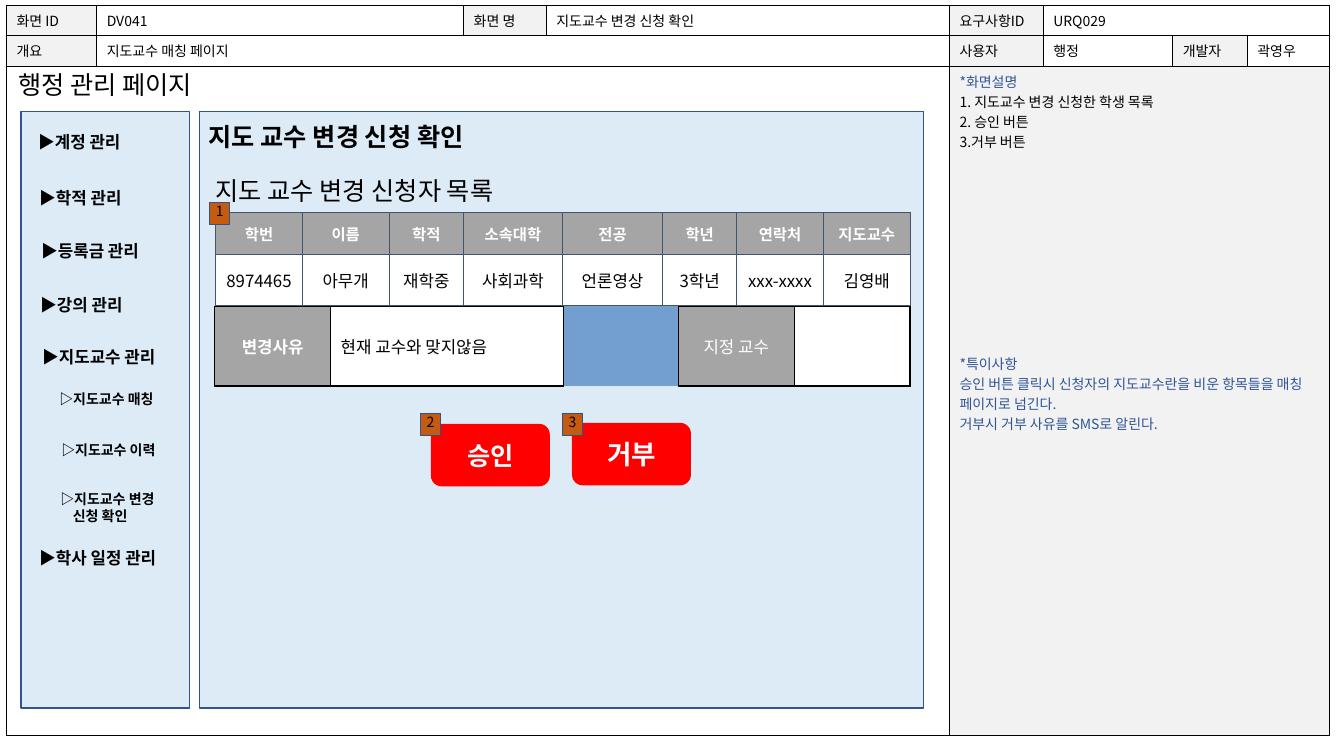
from pptx import Presentation
from pptx.dml.color import RGBColor
from pptx.enum.shapes import MSO_SHAPE
from pptx.enum.text import MSO_ANCHOR, MSO_AUTO_SIZE, PP_ALIGN
from pptx.oxml.ns import qn
from pptx.util import Inches, Pt
from lxml import etree

RECT, ROUNDED = MSO_SHAPE.RECTANGLE, MSO_SHAPE.ROUNDED_RECTANGLE
LEFT, CENTER = PP_ALIGN.LEFT, PP_ALIGN.CENTER
TOP, MIDDLE = MSO_ANCHOR.TOP, MSO_ANCHOR.MIDDLE
FIT = MSO_AUTO_SIZE.SHAPE_TO_FIT_TEXT

FONT = "Noto Sans CJK KR"
PLAIN_TABLE = "{2D5ABB26-0587-4C30-8999-92F81FD0307C}"
C = {
    "black": "000000", "white": "FFFFFF", "label": "F2F2F2", "header": "A5A5A5",
    "panel": "DDEBF7", "panel_line": "31538F", "note": "2F5597", "grid": "44546A",
    "badge": "C55A11", "badge_line": "2F528F", "button": "FF0000",
}
COLUMNS, ROWS = 133.33, 75
CELL = Inches(0.1)
PAD, SLIM = (1, 0.5, 1, 0.5), (0, 0, 0, 0)
WIDE = (1, 1, 1, 1)


def grid(n):
    return int(n * CELL)


def rgb(name):
    return RGBColor.from_string(C[name])


def write(tf, text, size, color="black", bold=False, align=LEFT):
    tf.text = text
    for p in tf.paragraphs:
        p.alignment = align
        for r in p.runs:
            r.font.size = Pt(size)
            r.font.bold = bold
            r.font.name = FONT
            r.font.color.rgb = rgb(color)
            etree.SubElement(r.font._element, qn("a:ea")).set("typeface", FONT)


def frame(tf, pad, anchor):
    tf.word_wrap = True
    tf.margin_left, tf.margin_top, tf.margin_right, tf.margin_bottom = map(grid, pad)
    tf.vertical_anchor = anchor


def indent(p, left, first=0):
    pPr = p._p.get_or_add_pPr()
    pPr.set("marL", str(grid(left)))
    pPr.set("indent", str(grid(first)))


def add_text(s, at, text, size, bold=False, pad=SLIM, anchor=MIDDLE):
    sp = s.shapes.add_textbox(*map(grid, at))
    frame(sp.text_frame, pad, anchor)
    write(sp.text_frame, text, size, bold=bold)
    return sp.text_frame


def add_title(s, at, text, size):
    sp = s.shapes.title
    sp.left, sp.top, sp.width, sp.height = map(grid, at)
    frame(sp.text_frame, SLIM, TOP)
    write(sp.text_frame, text, size)
    s.shapes._spTree.append(sp._element)


def add_box(s, kind, at, fill, line, weight):
    sp = s.shapes.add_shape(kind, *map(grid, at))
    sp.shadow.inherit = False
    sp.fill.solid()
    sp.fill.fore_color.rgb = rgb(fill)
    sp.line.color.rgb = rgb(line)
    sp.line.width = Pt(weight)
    return sp


def add_badge(s, left, top, number):
    sp = add_box(s, RECT, (left, top, 2, 2.2), "badge", "badge_line", 1)
    frame(sp.text_frame, SLIM, TOP)
    write(sp.text_frame, number, 10, align=CENTER)


def add_button(s, left, top, text, size):
    sp = add_box(s, ROUNDED, (left, top, 11.7, 6.1), "button", "button", 0.75)
    frame(sp.text_frame, WIDE, MIDDLE)
    write(sp.text_frame, text, size, "white", True, CENTER)


def border(cell, color, sides):
    tcPr = cell._tc.get_or_add_tcPr()
    for side in "LRTB":
        ln = etree.SubElement(tcPr, qn("a:ln" + side), w=str(Pt(sides[side])))
        fill = etree.SubElement(ln, qn("a:solidFill"))
        etree.SubElement(fill, qn("a:srgbClr"), val=C[color])


def add_table(s, left, top, cols, rows, texts, pad, anchor, style, line, sides):
    shape = s.shapes.add_table(len(rows), len(cols), grid(left), grid(top),
                               grid(sum(cols)), grid(sum(rows)))
    t = shape.table
    t.first_row = t.horz_banding = False
    t._tbl.tblPr[0].text = PLAIN_TABLE
    for column, width in zip(t.columns, cols):
        column.width = grid(width)
    for row, height in zip(t.rows, rows):
        row.height = grid(height)
    for i, row in enumerate(texts):
        start = 0
        for j, text in enumerate(row):
            cell = t.cell(i, j)
            border(cell, line, sides(i, j))
            start = start if text is None else j
            fill, look = style(i, start)
            cell.fill.solid()
            cell.fill.fore_color.rgb = rgb(fill)
            cell.margin_left, cell.margin_top, cell.margin_right, cell.margin_bottom = map(grid, pad)
            cell.vertical_anchor = anchor
            if text:
                write(cell.text_frame, text, **look)
            if text is None and (j + 1 == len(row) or row[j + 1] is not None):
                t.cell(i, start).merge(cell)
    return t


def add_sheet(s):
    notes = "\n".join([
        "*화면설명", "1. 지도교수 변경 신청한 학생 목록", "2. 승인 버튼", "3.거부 버튼", "*특이사항",
        "승인 버튼 클릭시 신청자의 지도교수란을 비운 항목들을 매칭 페이지로 넘긴다.",
        "거부시 거부 사유를 SMS로 알린다."])
    texts = [
        ["화면 ID", "DV041", "화면 명", "지도교수 변경 신청 확인", "요구사항ID", "URQ029", None, None],
        ["개요", "지도교수 매칭 페이지", None, None, "사용자", "행정", "개발자", "곽영우"],
        ["", None, None, None, notes, None, None, None]]
    labels = {(0, 0), (0, 2), (0, 4), (1, 0), (1, 4), (1, 6), (2, 4)}
    t = add_table(s, 0.65, 0.5, [8.95, 36.4, 8.2, 40, 9.3, 12.85, 7.4, 8.15], [2.7, 3.05, 66.4],
                  texts, PAD, TOP,
                  lambda i, j: ("label" if (i, j) in labels else "white", {"size": 10}),
                  "black", lambda i, j: dict.fromkeys("LRTB", 0.75))
    ps = t.cell(2, 4).text_frame.paragraphs
    for p in ps[1:4]:
        indent(p, 2.5, -2.5)
    for p in (ps[0], *ps[4:]):
        for r in p.runs:
            r.font.color.rgb = rgb("note")
    ps[4].space_before = Pt(144)


def add_menu(s):
    items = [(2.8, 12.6, "▶계정 관리"), (2.9, 18.1, "▶학적 관리"), (3.1, 23.4, "▶등록금 관리"),
             (3, 28.7, "▶강의 관리"), (3.2, 33.9, "▶지도교수 관리"), (2.9, 53.8, "▶학사 일정 관리")]
    subitems = [(4.9, 38.3, "▷지도교수 매칭"), (5.1, 43.3, "▷지도교수 이력"),
                (5, 48.2, "▷지도교수 변경\n신청 확인")]
    for entries, width, height, size in ((items, 21.3, 3, 12), (subitems, 16.7, 2.7, 10)):
        for left, top, text in entries:
            tf = add_text(s, (left, top, width, height), text, size, True, PAD, TOP)
            tf.auto_size = FIT
            for p in tf.paragraphs[1:]:
                indent(p, 1.25)


def add_applicants(s):
    texts = [["학번", "이름", "학적", "소속대학", "전공", "학년", "연락처", "지도교수"],
             ["8974465", "아무개", "재학중", "사회과학", "언론영상", "3학년", "xxx-xxxx", "김영배"]]
    looks = [("header", {"size": 11, "color": "white", "bold": True, "align": CENTER}),
             ("white", {"size": 12, "align": CENTER})]
    add_table(s, 21.4, 21.1, [8.6, 8.6, 7.4, 9.8, 9.95, 7.35, 8.6, 8.6], [4.15, 5.1], texts,
              WIDE, MIDDLE, lambda i, j: looks[i], "grid",
              lambda i, j: dict.fromkeys("LRTB", 0.75))


def add_reason(s):
    label = {"size": 12, "color": "white", "align": CENTER}
    looks = {0: ("header", {**label, "bold": True}), 1: ("white", {"size": 12}),
             3: ("header", label), 4: ("white", {"size": 12})}
    add_table(s, 21.3, 30.4, [11.5, 11.5, 11.6, 11.4, 11.5, 11.5], [7.9],
              [["변경사유", "현재 교수와 맞지않음", None, "지정 교수", "", None]],
              WIDE, MIDDLE, lambda i, j: looks[j], "black",
              lambda i, j: {"L": 1, "R": 1.5 if j in (1, 2, 4, 5) else 1, "T": 1.5, "B": 1})


def main():
    prs = Presentation()
    prs.slide_width, prs.slide_height = grid(COLUMNS), grid(ROWS)
    s = prs.slides.add_slide(prs.slide_layouts[5])
    add_sheet(s)
    for left, width in ((19.8, 71.8), (2.1, 16.7)):
        add_box(s, RECT, (left, 11.05, width, 59.2), "panel", "panel_line", 1)
    add_menu(s)
    add_title(s, (1.8, 6.9, 40.8, 4.1), "행정 관리 페이지", 18)
    add_text(s, (20.7, 11.5, 31.1, 4.1), "지도 교수 변경 신청 확인", 18, True)
    add_applicants(s)
    add_text(s, (21.4, 16.8, 33, 4.1), "지도 교수 변경 신청자 목록", 18)
    add_badge(s, 20.8, 20.1, "1")
    add_reason(s)
    add_button(s, 42.8, 42.1, "승인", 18)
    add_button(s, 56.8, 42, "거부", 19)
    add_badge(s, 41.7, 41, "2")
    add_badge(s, 55.8, 41, "3")
    prs.save("out.pptx")


if __name__ == "__main__":
    main()
